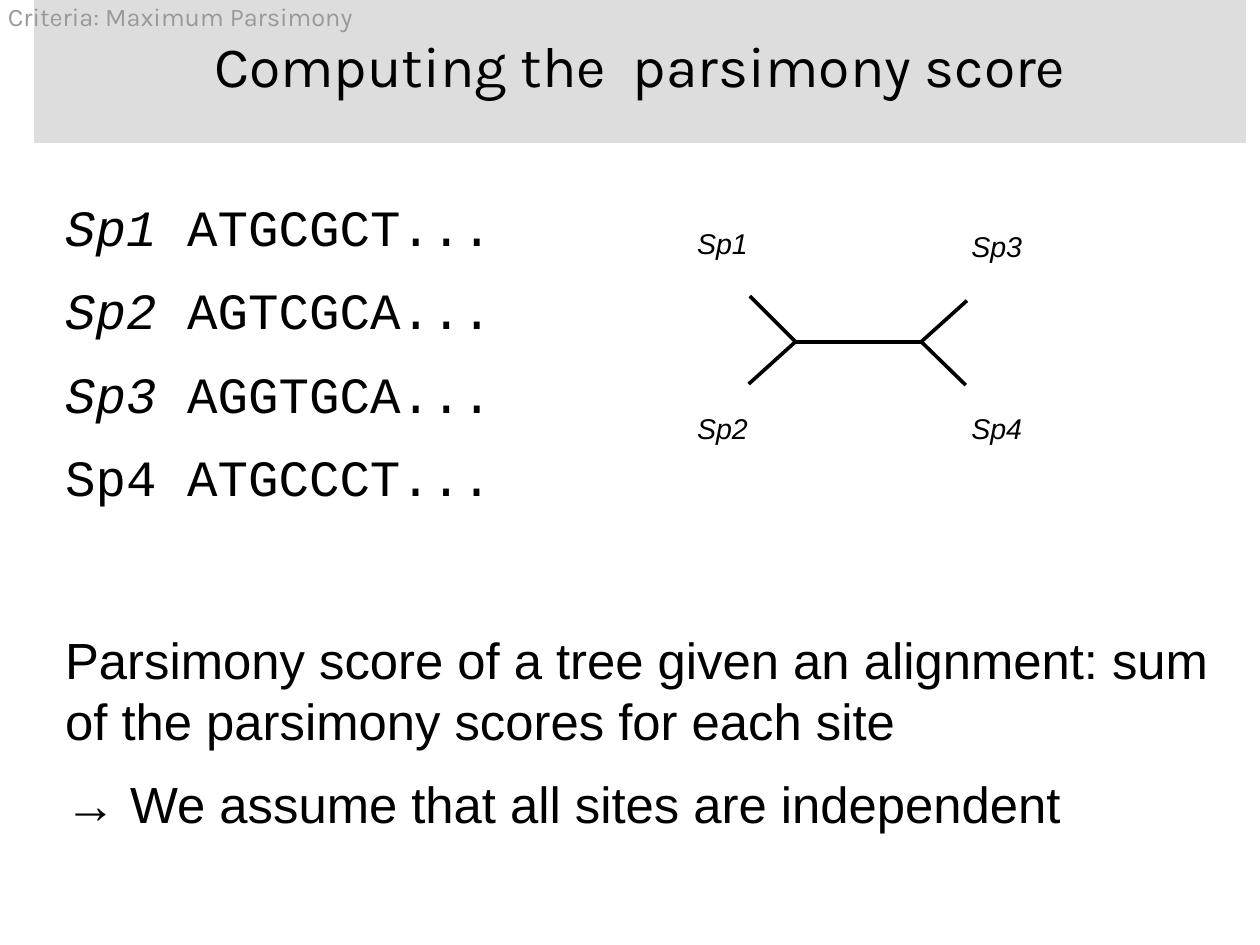
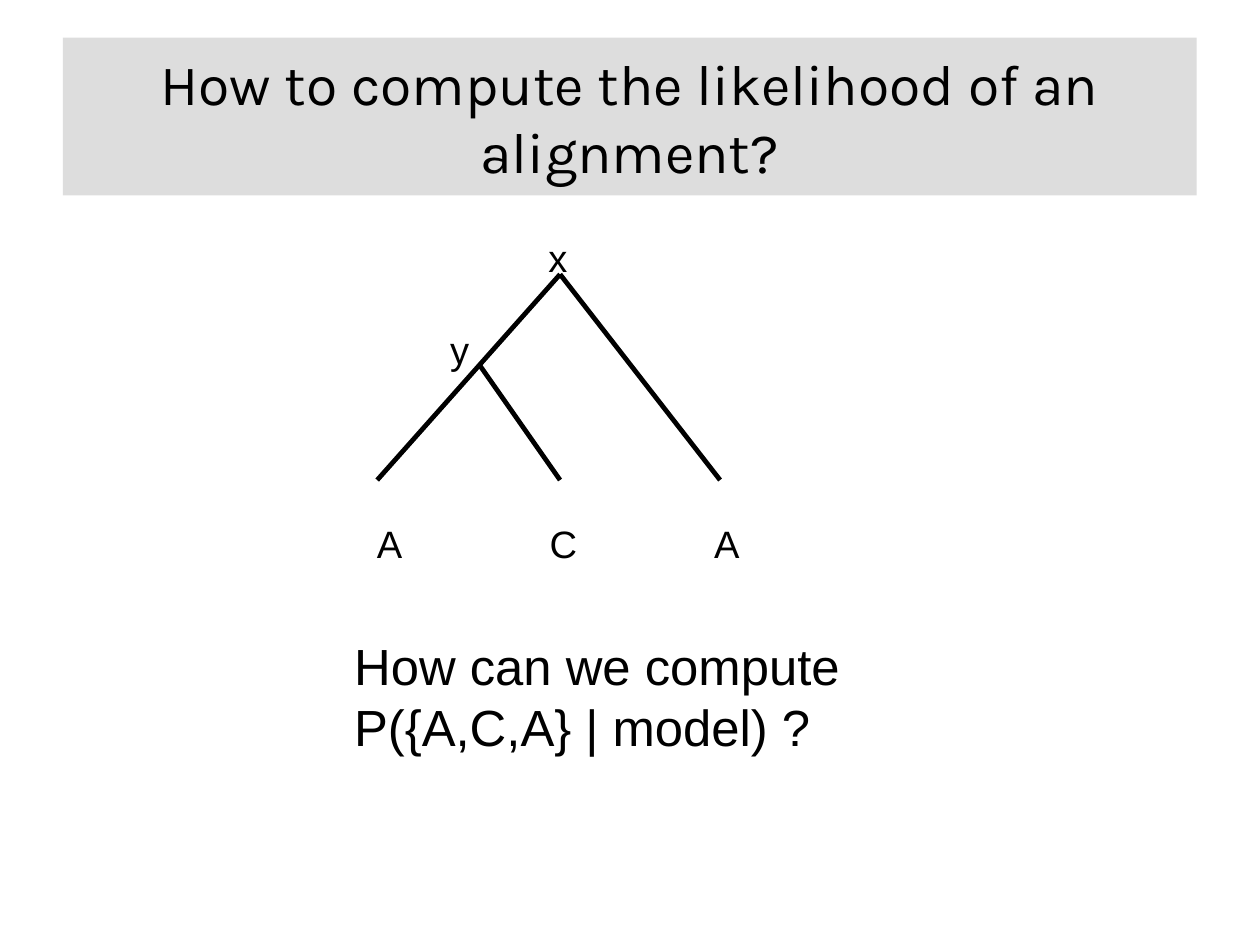
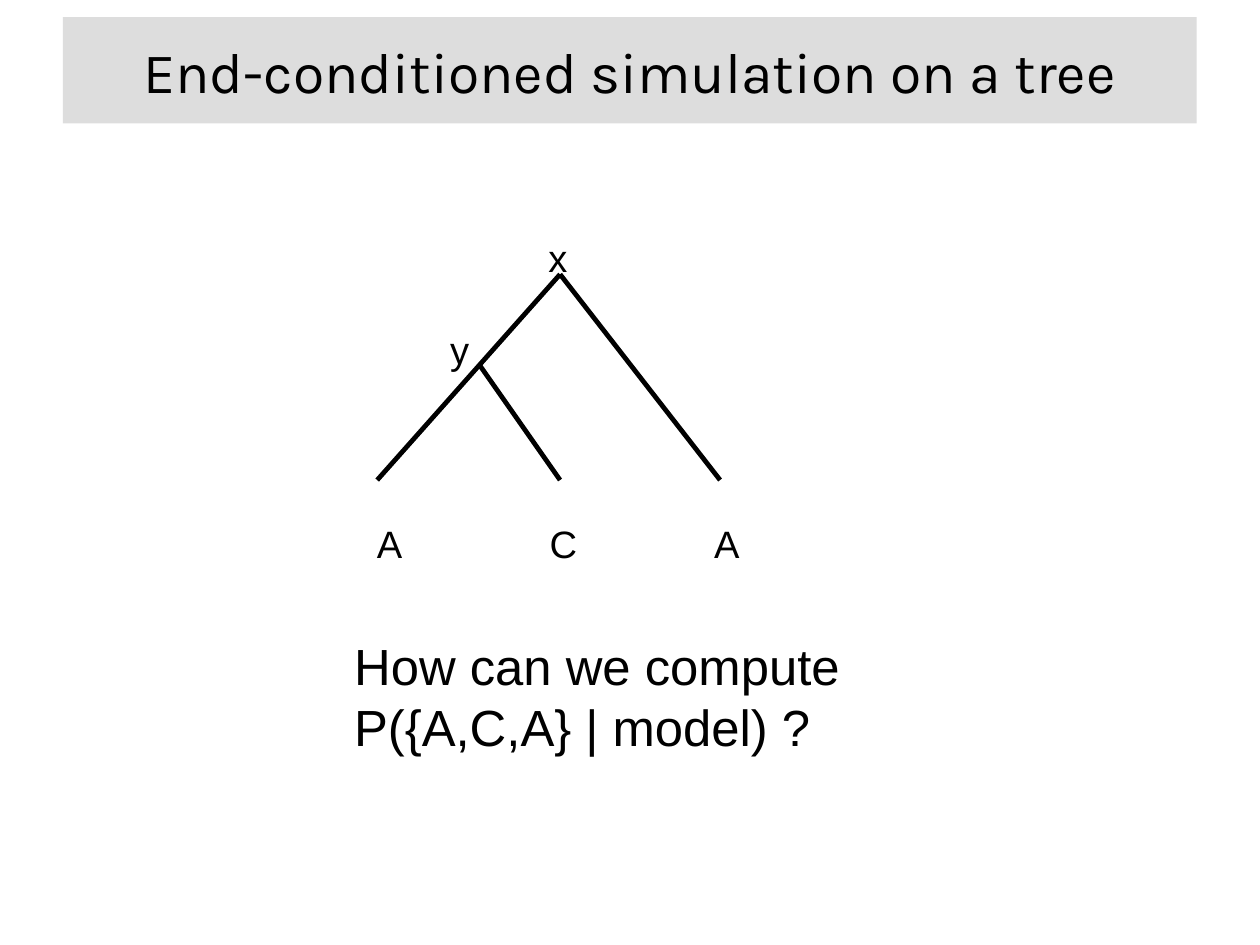
from lxml.etree import SubElement
from pptx import Presentation
from pptx.dml.color import RGBColor
from pptx.enum.shapes import MSO_CONNECTOR as Connector, MSO_SHAPE as Shape
from pptx.enum.text import MSO_ANCHOR as Anchor, PP_ALIGN as Align
from pptx.oxml.ns import qn
from pptx.util import Inches, Pt

# Page of 28 by 21 cm
CM_PER_INCH = 2.54
PAGE_WIDTH = Inches(28 / CM_PER_INCH)
PAGE_HEIGHT = Inches(21 / CM_PER_INCH)

# Shared look
BLACK = RGBColor(0x00, 0x00, 0x00)
GREY = RGBColor(0x99, 0x99, 0x99)
BAND = RGBColor(0xDD, 0xDD, 0xDD)
TITLE_FONT, TEXT_FONT, SEQUENCE_FONT = "Karla", "Arial", "Courier New"
BODY_SIZE = 32
PADDING = (0.1, 0.05)
NO_PADDING = (0, 0)


def style(paragraph, size, font=TEXT_FONT, color=BLACK, italic=False):
    for span in paragraph.runs:
        span.font.name = font
        span.font.size = Pt(size)
        span.font.color.rgb = color
        span.font.italic = italic


def set_frame(frame, padding, anchor):
    frame.word_wrap = True
    frame.margin_left = frame.margin_right = Inches(padding[0])
    frame.margin_top = frame.margin_bottom = Inches(padding[1])
    frame.vertical_anchor = anchor


def add_title(page, text, left, top, width, height):
    band = page.shapes.add_shape(Shape.RECTANGLE, *map(Inches, (left, top, width, height)))
    band.shadow.inherit = False
    band.fill.solid()
    band.fill.fore_color.rgb = BAND
    band.line.fill.background()
    set_frame(band.text_frame, NO_PADDING, Anchor.MIDDLE)
    band.text_frame.text = text
    para = band.text_frame.paragraphs[0]
    para.alignment = Align.CENTER
    style(para, 36, TITLE_FONT)


def add_text(page, text, left, top, width, height, size,
             padding=PADDING, anchor=Anchor.TOP, **look):
    box = page.shapes.add_textbox(*map(Inches, (left, top, width, height)))
    set_frame(box.text_frame, padding, anchor)
    box.text_frame.text = text
    for para in box.text_frame.paragraphs:
        style(para, size, **look)
    return box


def add_body(page, lines, top, height, font=TEXT_FONT):
    """Full-width indented text with a gap between its paragraphs."""
    box = add_text(page, "\n".join(lines), 0.1, top, 10.72, height,
                   BODY_SIZE, NO_PADDING, font=font)
    for index, para in enumerate(box.text_frame.paragraphs):
        properties = para._p.get_or_add_pPr()
        properties.set("marL", str(Inches(0.47)))
        properties.set("indent", "0")
        if index:
            para.space_before = Pt(14.2)
    return box


def add_branch(page, start, end, width):
    branch = page.shapes.add_connector(Connector.STRAIGHT, *map(Inches, start + end))
    branch.line.color.rgb = BLACK
    branch.line.width = Pt(width)
    SubElement(branch._element.spPr, qn("a:effectLst"))


def add_alignment(page):
    sequences = {"Sp1": "ATGCGCT...", "Sp2": "AGTCGCA...",
                 "Sp3": "AGGTGCA...", "Sp4": "ATGCCCT..."}
    box = add_body(page, sequences, 1.71, 2.6, SEQUENCE_FONT)
    for para, (species, bases) in zip(box.text_frame.paragraphs, sequences.items()):
        para.add_run().text = f" {bases}"
        style(para, BODY_SIZE, SEQUENCE_FONT)
        para.runs[0].font.italic = species != "Sp4"


def add_unrooted_tree(page):
    left_node, right_node = (6.96, 2.99), (8.06, 2.99)
    add_branch(page, left_node, right_node, 2.3)
    for node, tip in ((left_node, (6.56, 2.59)), (left_node, (6.55, 3.36)),
                      (right_node, (8.46, 2.63)), (right_node, (8.45, 3.37))):
        add_branch(page, node, tip, 2.3)
    for species, left, top, anchor in (("Sp1", 6, 1.68, Anchor.BOTTOM),
                                       ("Sp2", 6, 3.29, Anchor.BOTTOM),
                                       ("Sp3", 8.4, 1.95, Anchor.TOP),
                                       ("Sp4", 8.4, 3.29, Anchor.BOTTOM)):
        add_text(page, species, left, top, 0.7, 0.65, 18, anchor=anchor, italic=True)


def add_rooted_tree(page):
    root, inner = (4.9, 2.4), (4.2, 3.2)
    for start, tip in ((root, (6.3, 4.2)), (root, (3.3, 4.2)), (inner, (4.9, 4.2))):
        add_branch(page, start, tip, 3)
    for label, left, top, height in (("A", 3.2, 4.5, 0.84), ("C", 4.71, 4.5, 0.47),
                                     ("A", 6.15, 4.5, 0.47), ("y", 3.84, 2.81, 0.84),
                                     ("x", 4.7, 2, 0.84)):
        add_text(page, label, left, top, 0.3, height, 24)


def parsimony_slide(page):
    add_title(page, "Computing the  parsimony score", 0.3, -0.11, 10.6, 1.36)
    add_alignment(page)
    add_text(page, "Criteria: Maximum Parsimony", 0.07, -0.2, 3.34, 0.68, 16,
             NO_PADDING, Anchor.MIDDLE, font=TITLE_FONT, color=GREY)
    add_unrooted_tree(page)
    add_body(page, ("Parsimony score of a tree given an alignment: sum of the "
                    "parsimony scores for each site",
                    "→ We assume that all sites are independent"), 5.5, 1.8)


def likelihood_slide(page, title, top, height):
    add_title(page, title, 0.55, top, 9.92, height)
    add_rooted_tree(page)
    add_text(page, "How can we compute P({A,C,A} | model) ?", 3, 5.5, 5.1, 1.1, BODY_SIZE)


def main():
    deck = Presentation()
    deck.slide_width = PAGE_WIDTH
    deck.slide_height = PAGE_HEIGHT
    blank = deck.slide_layouts[6]
    parsimony_slide(deck.slides.add_slide(blank))
    for title, top, height in (
            ("How to compute the likelihood of an alignment?", 0.33, 1.38),
            ("End-conditioned simulation on a tree", 0.15, 0.93)):
        likelihood_slide(deck.slides.add_slide(blank), title, top, height)
    deck.save("out.pptx")


if __name__ == "__main__":
    main()
